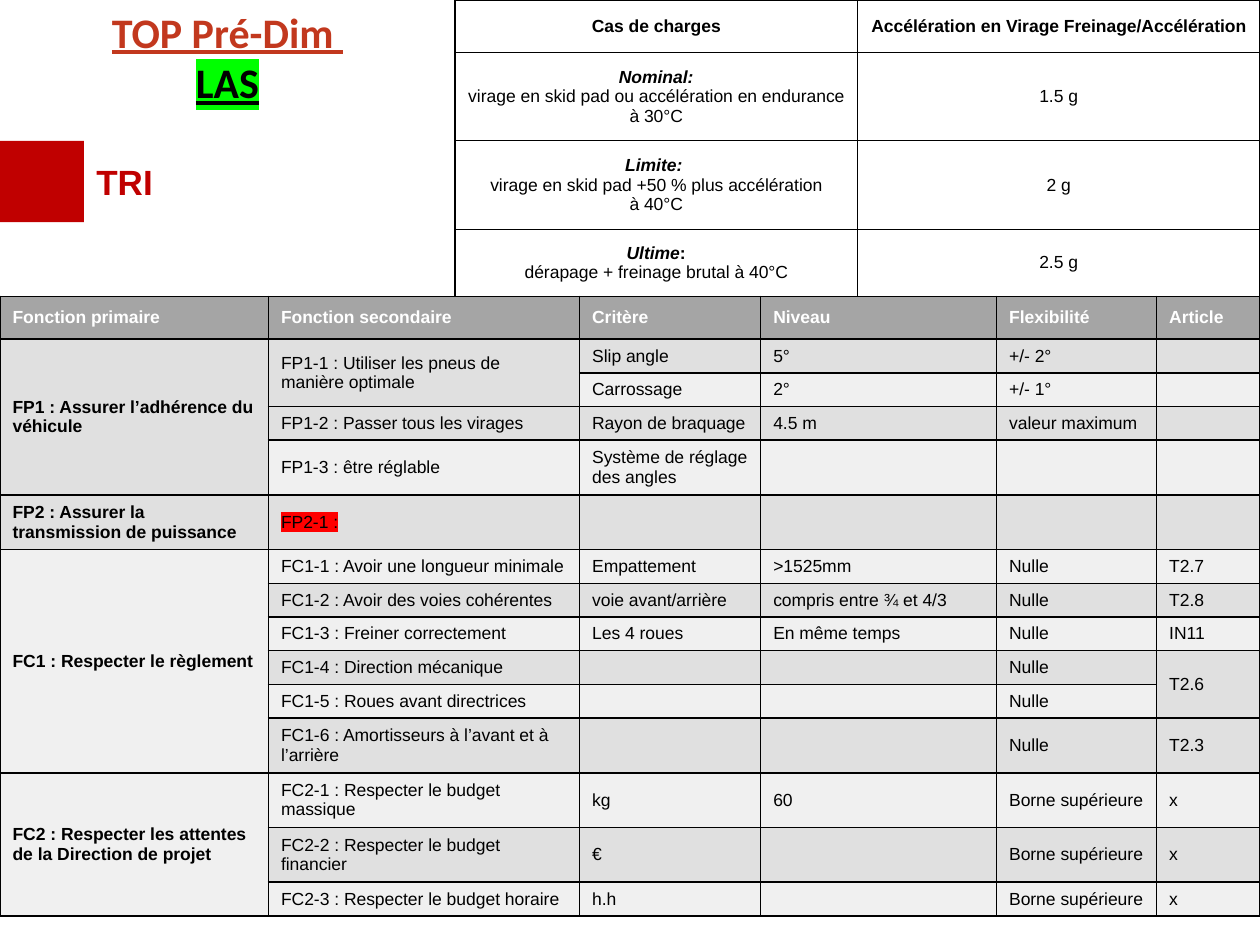
"""Build the load-case and functional-requirements slide."""
from lxml import etree
from pptx import Presentation
from pptx.dml.color import RGBColor
from pptx.enum import shapes, text
from pptx.oxml import ns
from pptx.util import Pt

THEME = {
    "black": "000000", "white": "FFFFFF", "red": "C00000", "title": "C2381E",
    "header": "A5A5A5", "bands": ("F0F0F0", "E0E0E0"),
    "green_mark": "00FF00", "red_mark": "FF0000",
    "font": "Arial", "title_font": "Calibri",
    "title_size": 24, "label_size": 20, "table_size": 10,
}
BOLD = {"bold": True}
BOLD_ITALIC = {"bold": True, "italic": True}
PLAIN = {}
MARKED = {"mark": THEME["red_mark"]}

TITLE_STYLE = {"name": THEME["title_font"], "size": THEME["title_size"],
               "color": THEME["title"], "bold": True, "underline": True}
TITLE = [
    [("TOP Pré-Dim ", TITLE_STYLE)],
    [("LAS", {**TITLE_STYLE, "color": THEME["black"], "mark": THEME["green_mark"]})],
]
LABEL = [[("TRI", {"size": THEME["label_size"], "color": THEME["red"], "bold": True})]]

LOAD_CASES = [
    ([[("Cas de charges", BOLD)]],
     [[("Accélération en Virage Freinage/Accélération", BOLD)]]),
    ([[("Nominal:", BOLD_ITALIC)],
      [("virage en skid pad ou accélération en endurance", PLAIN)],
      [("à 30°C", PLAIN)]], [[("1.5 g", PLAIN)]]),
    ([[("Limite: ", BOLD_ITALIC)],
      [("virage en skid pad +50 % plus accélération", PLAIN)],
      [("à 40°C", PLAIN)]], [[("2 g", PLAIN)]]),
    ([[("Ultime", BOLD_ITALIC), (":", BOLD)],
      [("dérapage + freinage brutal à 40°C", PLAIN)]], [[("2.5 g", PLAIN)]]),
]
LOAD_COLUMNS = (230, 230)
LOAD_ROWS = (30, 48, 48, 36.5)

# None continues the cell above.
FUNCTIONS = [
    ("Fonction primaire", "Fonction secondaire", "Critère", "Niveau", "Flexibilité", "Article"),
    ("FP1 : Assurer l’adhérence du véhicule", "FP1-1 : Utiliser les pneus de manière optimale",
     "Slip angle", "5°", "+/- 2°", ""),
    (None, None, "Carrossage", "2°", "+/- 1°", ""),
    (None, "FP1-2 : Passer tous les virages", "Rayon de braquage", "4.5 m", "valeur maximum", ""),
    (None, "FP1-3 : être réglable", "Système de réglage des angles", "", "", ""),
    ("FP2 : Assurer la transmission de puissance", "FP2-1 :", "", "", "", ""),
    ("FC1 : Respecter le règlement", "FC1-1 : Avoir une longueur minimale",
     "Empattement", ">1525mm", "Nulle", "T2.7"),
    (None, "FC1-2 : Avoir des voies cohérentes", "voie avant/arrière",
     "compris entre ¾ et 4/3", "Nulle", "T2.8"),
    (None, "FC1-3 : Freiner correctement", "Les 4 roues", "En même temps", "Nulle", "IN11"),
    (None, "FC1-4 : Direction mécanique", "", "", "Nulle", "T2.6"),
    (None, "FC1-5 : Roues avant directrices", "", "", "Nulle", None),
    (None, "FC1-6 : Amortisseurs à l’avant et à l’arrière", "", "", "Nulle", "T2.3"),
    ("FC2 : Respecter les attentes de la Direction de projet",
     "FC2-1 : Respecter le budget massique", "kg", "60", "Borne supérieure", "x"),
    (None, "FC2-2 : Respecter le budget financier", "€", "", "Borne supérieure", "x"),
    (None, "FC2-3 : Respecter le budget horaire", "h.h", "", "Borne supérieure", "x"),
]
FUNCTION_COLUMNS = (153.4, 177.8, 103.5, 134.8, 91.5, 59)
TALL_ROWS = (4, 5, 11, 12, 13)
FUNCTION_ROWS = [24.5] + [29.6 if row in TALL_ROWS else 19.2
                          for row in range(1, len(FUNCTIONS))]


def write(frame, paragraphs, align=text.PP_ALIGN.LEFT):
    for index, pieces in enumerate(paragraphs):
        para = frame.paragraphs[0] if index == 0 else frame.add_paragraph()
        para.alignment = align
        for words, style in pieces:
            span = para.add_run()
            span.text = words
            look = {"name": THEME["font"], "size": THEME["table_size"],
                    "color": THEME["black"], "bold": False, "italic": False, **style}
            mark = look.pop("mark", None)
            span.font.color.rgb = RGBColor.from_string(look.pop("color"))
            look["size"] = Pt(look["size"])
            for name, value in look.items():
                setattr(span.font, name, value)
            if mark:
                highlight = etree.Element(ns.qn("a:highlight"))
                etree.SubElement(highlight, ns.qn("a:srgbClr"), val=mark)
                span.font._element.find(ns.qn("a:solidFill")).addnext(highlight)
        if not pieces:
            etree.SubElement(para._p, ns.qn("a:endParaRPr"), sz=str(THEME["table_size"] * 100))


def add_text(page, place, paragraphs, align):
    box = page.shapes.add_textbox(*map(Pt, place))
    box.text_frame.word_wrap = True
    write(box.text_frame, paragraphs, align)


def set_borders(cell, width):
    properties = cell._tc.get_or_add_tcPr()
    for index, side in enumerate(("lnL", "lnR", "lnT", "lnB")):
        line = etree.Element(ns.qn(f"a:{side}"), w=str(Pt(width)))
        fill = etree.SubElement(line, ns.qn("a:solidFill"))
        etree.SubElement(fill, ns.qn("a:srgbClr"), val=THEME["black"])
        properties.insert(index, line)


def add_grid(page, left, top, columns, rows, border, padding):
    frame = page.shapes.add_table(len(rows), len(columns), Pt(left), Pt(top),
                                  Pt(sum(columns)), Pt(sum(rows)))
    table = frame.table
    table.first_row = table.horz_banding = False
    for column, width in zip(table.columns, columns):
        column.width = Pt(width)
    for row, height in zip(table.rows, rows):
        row.height = Pt(height)
    for cell in table.iter_cells():
        cell.vertical_anchor = text.MSO_ANCHOR.MIDDLE
        cell.margin_left = cell.margin_right = Pt(7.2)
        cell.margin_top = cell.margin_bottom = Pt(padding)
        cell.fill.background()
        set_borders(cell, border)
    return table


def add_functions(page):
    table = add_grid(page, 0, 169.3, FUNCTION_COLUMNS, FUNCTION_ROWS, 1, 3.6)
    for row, entries in enumerate(FUNCTIONS):
        for column, words in enumerate(entries):
            cell = table.cell(row, column)
            cell.fill.solid()
            shade = THEME["bands"][row % 2] if row else THEME["header"]
            cell.fill.fore_color.rgb = RGBColor.from_string(shade)
            style = {"bold": row == 0 or column == 0,
                     "color": THEME["black"] if row else THEME["white"]}
            if words == "FP2-1 :":
                style.update(MARKED)
            write(cell.text_frame, [[(words, style)] if words else []])
    for column in range(len(FUNCTION_COLUMNS)):
        starts = [row for row, entries in enumerate(FUNCTIONS) if entries[column] is not None]
        for start, following in zip(starts, starts[1:] + [len(FUNCTIONS)]):
            if following - start > 1:
                table.cell(start, column).merge(table.cell(following - 1, column))


def add_load_cases(page):
    table = add_grid(page, 260, 0, LOAD_COLUMNS, LOAD_ROWS, 0.75, 7.2)
    for row, entries in enumerate(LOAD_CASES):
        for column, paragraphs in enumerate(entries):
            write(table.cell(row, column).text_frame, paragraphs, text.PP_ALIGN.CENTER)


def main():
    deck = Presentation()
    deck.slide_width, deck.slide_height = Pt(720), Pt(540)
    page = deck.slides.add_slide(deck.slide_layouts[6])
    add_text(page, (0, 0, 260, 60), TITLE, text.PP_ALIGN.CENTER)
    add_functions(page)
    add_text(page, (48, 88, 48, 32), LABEL, text.PP_ALIGN.LEFT)
    block = page.shapes.add_shape(shapes.MSO_SHAPE.RECTANGLE, *map(Pt, (0, 80.5, 48, 46.5)))
    block.shadow.inherit = False
    block.fill.solid()
    block.fill.fore_color.rgb = RGBColor.from_string(THEME["red"])
    block.line.fill.background()
    add_load_cases(page)
    deck.save("out.pptx")


if __name__ == "__main__":
    main()
